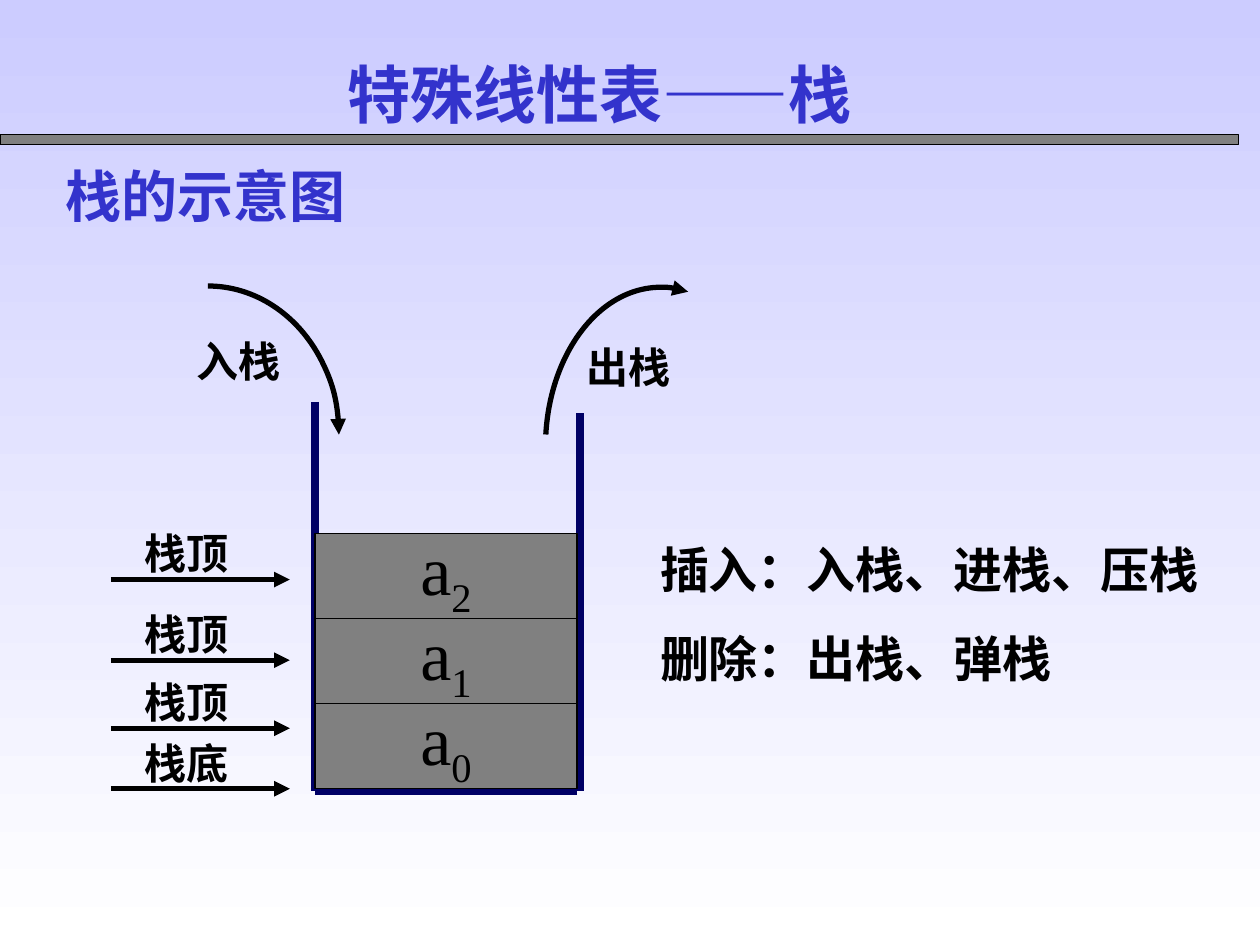
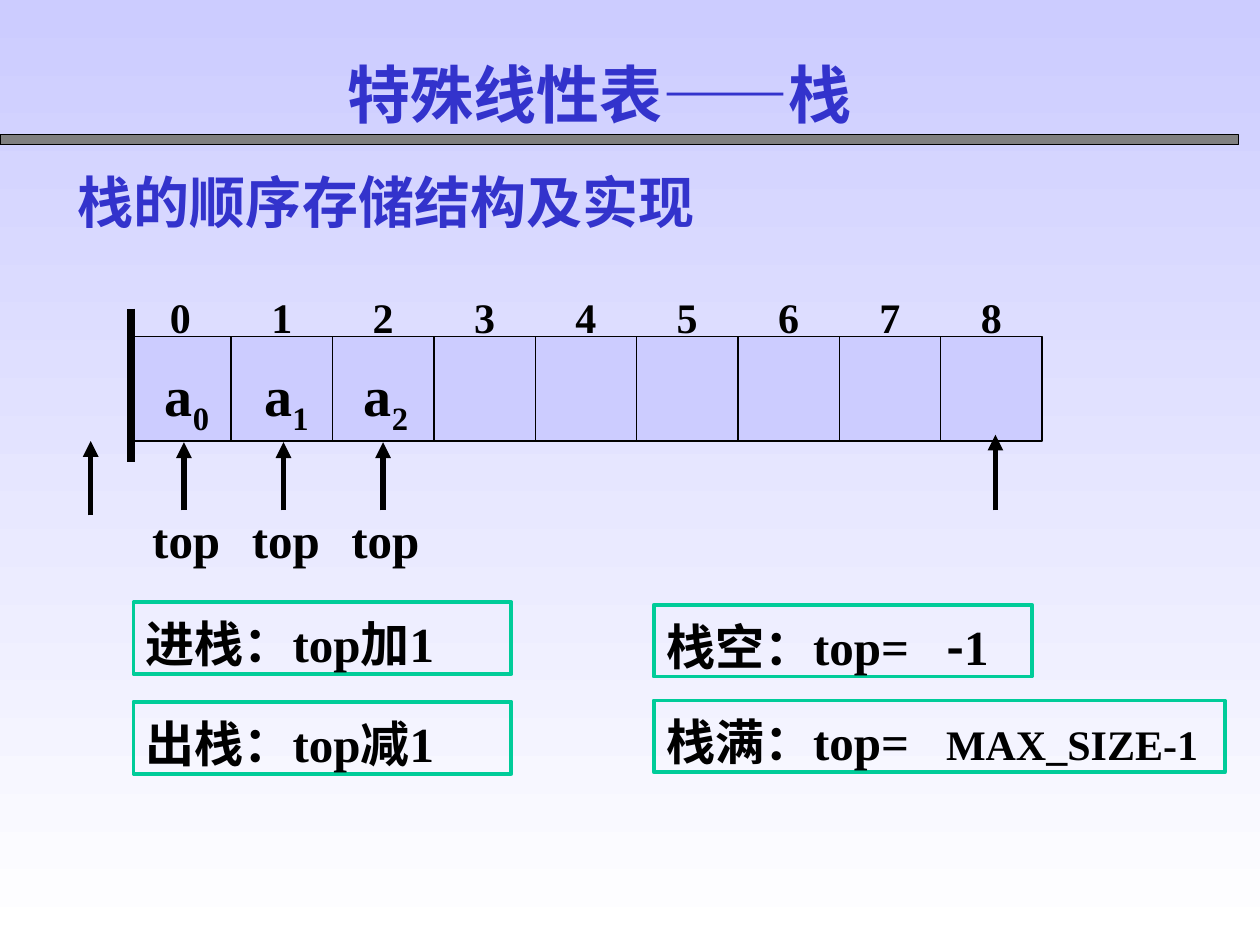
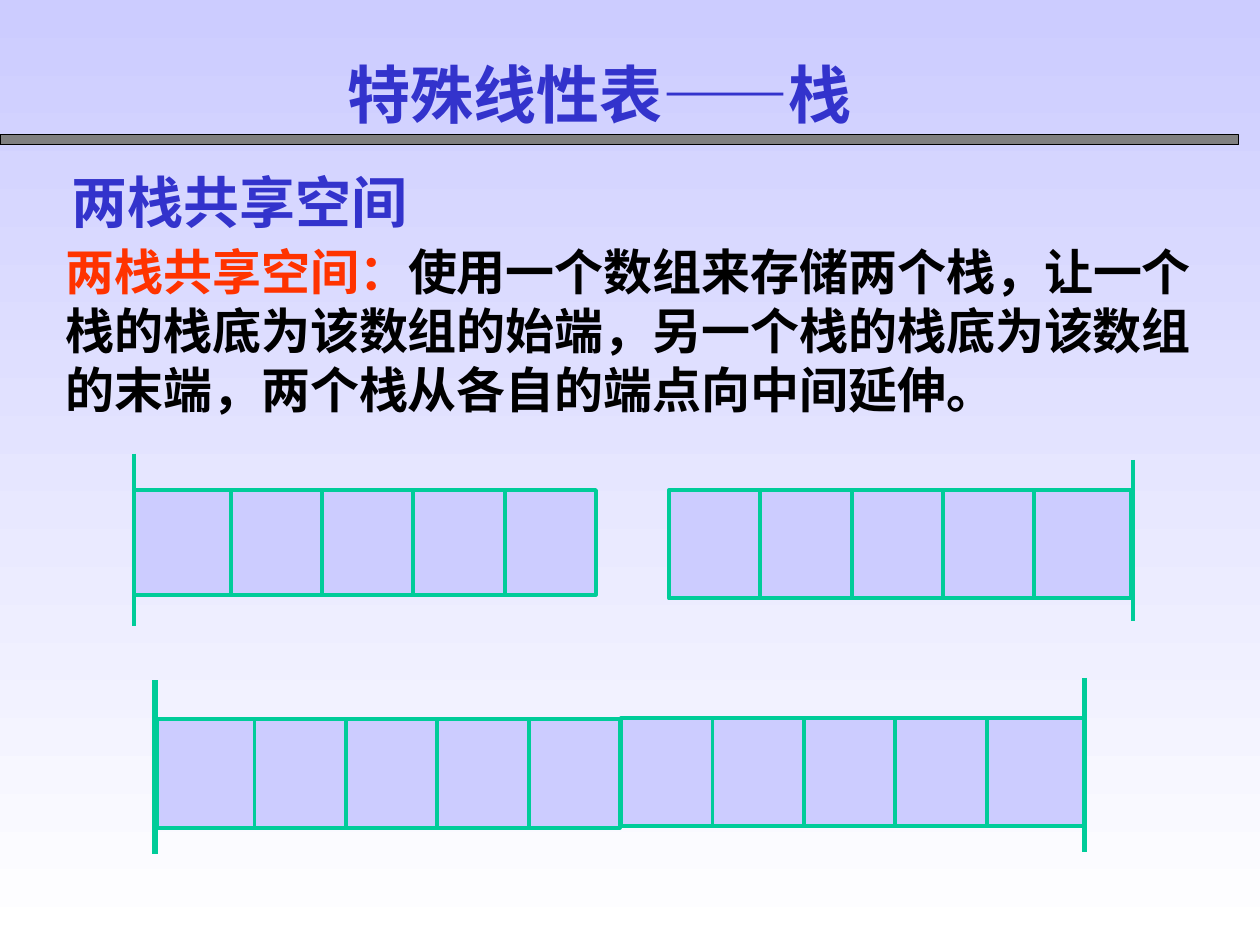
"""Build three slides about the stack as a special linear list."""
from pptx import Presentation
from pptx.dml.color import RGBColor
from pptx.enum.shapes import MSO_CONNECTOR, MSO_SHAPE
from pptx.enum.text import MSO_ANCHOR, PP_ALIGN
from pptx.oxml.ns import qn
from pptx.oxml.xmlchemy import OxmlElement
from pptx.util import Emu, Inches, Pt

RECT, ARC, STRAIGHT = MSO_SHAPE.RECTANGLE, MSO_SHAPE.ARC, MSO_CONNECTOR.STRAIGHT
MIDDLE, TOP = MSO_ANCHOR.MIDDLE, MSO_ANCHOR.TOP
CENTER, LEFT = PP_ALIGN.CENTER, PP_ALIGN.LEFT

LATIN, CJK = "Times New Roman", "Noto Sans CJK SC"
BLACK, GRAY, BLUE, NAVY = "000000", "808080", "3333CC", "000066"
LILAC, WHITE, GREEN, RED = "CCCCFF", "FFFFFF", "00CC99", "FF3300"

TITLE = "特殊线性表——栈"

POINTERS = [("栈顶", 4.6), ("栈顶", 5.24), ("栈顶", 5.78), ("栈底", 6.26)]
STACK = {"x": 2.5, "bottom": 6.26, "w": 2.08, "h": 0.675, "items": "012"}
MOVES = [
    ("入栈", 1.46, 2.57, (0.61, 2.27, 2.08, 2.36), (270, 0)),
    ("出栈", 4.56, 2.62, (4.33, 2.28, 1.83, 2.53), (186, 280)),
]
NAMES = ["插入：入栈、进栈、压栈", "删除：出栈、弹栈"]

ROW = {"x": 1.03, "y": 2.67, "w": 7.24, "h": 0.83, "cells": 9}
ITEM_X, ITEM_STEP = 1.21, 0.79
FREE_ARROWS = [(0.72, 4.09, 3.5), (7.9, 4.05, 3.45)]
RULES = [
    ("进栈：top加1", 1.06, 4.78, 3),
    ("出栈：top减1", 1.06, 5.57, 3),
    ([("栈空：top=\t", {}), ("-", {"font": CJK}), ("1", {})], 5.19, 4.8, 3),
    ([("栈满：top=\t", {}), ("MAX_SIZE-1", {"size": 24})], 5.19, 5.56, 4.53),
]

SHARED = [
    ("两栈共享空间：", {"color": RED}),
    ("使用一个数组来存储两个栈，让一个栈的栈底为该数组的始端，"
     "另一个栈的栈底为该数组的末端，两个栈从各自的端点向中间延伸。", {}),
]
HALF_W, BASE_CELL = 3.67, 0.77
HALVES = [
    (1.06, 3.89, 0.83, "left", 1.06, 3.6, 4.97, 2.25),
    (5.31, 3.89, 0.86, "right", 8.99, 3.65, 4.93, 2.25),
    (1.25, 5.71, 0.86, "left", 1.23, 5.4, 6.78, 3),
    (4.93, 5.7, 0.86, "right", 8.61, 5.38, 6.76, 3),
]


def rgb(value):
    return RGBColor.from_string(value)


def element(parent, tag, **attrs):
    child = OxmlElement(tag)
    for key, value in attrs.items():
        child.set(key, str(value))
    parent.append(child)
    return child


def arrowhead(shape):
    element(shape._element.spPr.find(qn("a:ln")), "a:tailEnd", type="triangle")


def line(s, x1, y1, x2, y2, color=BLACK, width=0.75, arrow=False):
    c = s.shapes.add_connector(STRAIGHT, *map(Inches, (x1, y1, x2, y2)))
    c.line.color.rgb = rgb(color)
    c.line.width = Pt(width)
    if arrow:
        arrowhead(c)
    element(c._element.spPr, "a:effectLst")


def shape(s, x, y, w, h, kind=RECT, fill=None, color=BLACK, width=0.75):
    sh = s.shapes.add_shape(kind, *map(Inches, (x, y, w, h)))
    sh.shadow.inherit = False
    if fill:
        sh.fill.solid()
        sh.fill.fore_color.rgb = rgb(fill)
    else:
        sh.fill.background()
    sh.line.color.rgb = rgb(color)
    sh.line.width = Pt(width)
    return sh


def add_run(p, text, size, color, font, bold, shadow=False, sub=False):
    r = p.add_run()
    r.text = text
    r.font.size, r.font.bold = Pt(size), bold
    r.font.color.rgb = rgb(color)
    rpr = r.font._element
    if sub:
        rpr.set("baseline", "-25000")
    if shadow:
        effects = element(rpr, "a:effectLst")
        outer = element(effects, "a:outerShdw", dist=Pt(2), dir=2700000, algn="tl")
        element(outer, "a:srgbClr", val=GRAY)
    r.font.name = font
    element(rpr, "a:ea", typeface=CJK)


def write(target, paragraphs, size=24, color=BLACK, font=LATIN, bold=True, shadow=False,
          align=LEFT, anchor=TOP, wrap=True, insets=(0.1, 0.09, 0.1, 0.05), gap=0, tabs=()):
    """Fill a shape with paragraphs, each a string or a list of (text, format) runs."""
    tf = target.text_frame
    tf.word_wrap, tf.vertical_anchor = wrap, anchor
    tf.margin_left, tf.margin_top, tf.margin_right, tf.margin_bottom = map(Inches, insets)
    base = {"size": size, "color": color, "font": font, "bold": bold, "shadow": shadow}
    for i, content in enumerate(paragraphs):
        p = tf.add_paragraph() if i else tf.paragraphs[0]
        p.alignment = align
        runs = [(content, {})] if isinstance(content, str) else content
        if not all(text.isascii() for text, _ in runs):
            p.line_spacing = Pt(size * 1.2)
        if i:
            p.space_before = Pt(gap)
        if tabs:
            tab_list = element(p._p.get_or_add_pPr(), "a:tabLst")
            for position, kind in tabs:
                element(tab_list, "a:tab", pos=Inches(position), algn=kind)
        for text, extra in runs:
            add_run(p, text, **{**base, **extra})


def label(s, paragraphs, x, y, w, h, **fmt):
    write(s.shapes.add_textbox(*map(Inches, (x, y, w, h))), paragraphs, **fmt)


def item(index):
    return [("a", {}), (index, {"sub": True})]


def new_slide(prs, heading, x, y, w):
    s = prs.slides.add_slide(prs.slide_layouts[6])
    shape(s, 0, 1.07, 9.83, 0.08, fill=GRAY)
    label(s, [TITLE], 2.66, 0.35, 4.69, 0.7, size=36, color=BLUE, shadow=True)
    label(s, [heading], x, y, w, 0.64, size=32, color=BLUE)
    return s


def array(s, x, y, w, h, dividers, color=BLACK, width=0.75):
    shape(s, x, y, w, h, fill=LILAC, color=color, width=width)
    for offset in dividers:
        line(s, x + offset, y, x + offset, y + h, color, width)


def stack_slide(prs):
    s = new_slide(prs, "栈的示意图", 0.42, 1.19, 5.58)
    for ends in [(2.5, 3.19, 2.5, 6.28), (2.5, 6.28, 4.58, 6.28), (4.6, 3.28, 4.6, 6.28)]:
        line(s, *ends, NAVY, 4.5)
    h = STACK["h"]
    for i, index in enumerate(STACK["items"], 1):
        box = shape(s, STACK["x"], STACK["bottom"] - i * h, STACK["w"], h, fill=GRAY)
        write(box, [item(index)], size=40, bold=False, align=CENTER, anchor=MIDDLE,
              wrap=False, insets=(0.1, 0, 0.1, 0.05))
    for name, x, y, box, angles in MOVES:
        arc = shape(s, *box, kind=ARC, width=3)
        for i, angle in enumerate(angles):
            arc.adjustments[i] = angle * 0.6
        arrowhead(arc)
        label(s, [name], x, y, 0.98, 0.5)
    for name, y in POINTERS:
        line(s, 0.88, y, 2.3, y, width=3, arrow=True)
        label(s, [name], 1.05, y - 0.5, 1, 0.5)
    label(s, NAMES, 5.14, 4.19, 4.6, 1.28, size=28, gap=17.5)


def sequential_slide(prs):
    s = new_slide(prs, "栈的顺序存储结构及实现", 0.52, 1.24, 6.42)
    x, y, w, h, n = ROW.values()
    cell = w / n
    array(s, x, y, w, h, [cell * i for i in range(1, n)])
    line(s, 1.04, 2.45, 1.04, 3.67, width=4.5)
    numbers = "".join(f"\t{i}" for i in range(n))
    label(s, [numbers], x, 2.22, w + 0.2, 0.5, insets=(0, 0.09, 0, 0.05),
          tabs=[(cell * (i + 0.5), "ctr") for i in range(n)])
    for i in range(3):
        left = ITEM_X + i * ITEM_STEP
        label(s, [item(str(i))], left, 2.77, 0.67, 0.71, size=32)
        line(s, left + 0.25, 4.05, left + 0.25, 3.51, width=3, arrow=True)
        label(s, ["top"], left - 0.1, 3.95, 0.79, 0.57, size=28)
    for left, start, end in FREE_ARROWS:
        line(s, left, start, left, end, width=3, arrow=True)
    for rule, left, top, width in RULES:
        box = shape(s, left, top, width, 0.57, color=GREEN, width=2.25)
        write(box, [rule], size=28, tabs=[(2.22, "l")])


def shared_slide(prs):
    s = new_slide(prs, "两栈共享空间", 0.47, 1.24, 5)
    label(s, [SHARED], 0.52, 1.83, 9.06, 1.58, size=28, font=CJK,
          insets=(0, 0.09, 0, 0.05))
    step = (HALF_W - BASE_CELL) / 4
    for x, y, h, side, wall, top, bottom, width in HALVES:
        offsets = [BASE_CELL + step * i for i in range(4)]
        if side == "right":
            offsets = [HALF_W - offset for offset in offsets]
        array(s, x, y, HALF_W, h, offsets, GREEN, 2.25)
        line(s, wall, top, wall, bottom, GREEN, width)


def main():
    prs = Presentation()
    prs.slide_width, prs.slide_height = Emu(Inches(10)), Emu(Inches(7.5))
    fill = prs.slide_master.background.fill
    fill.gradient()
    fill.gradient_angle = 270
    for stop, color in zip(fill.gradient_stops, (LILAC, WHITE)):
        stop.color.rgb = rgb(color)
    stack_slide(prs)
    sequential_slide(prs)
    shared_slide(prs)
    prs.save("out.pptx")


if __name__ == "__main__":
    main()
